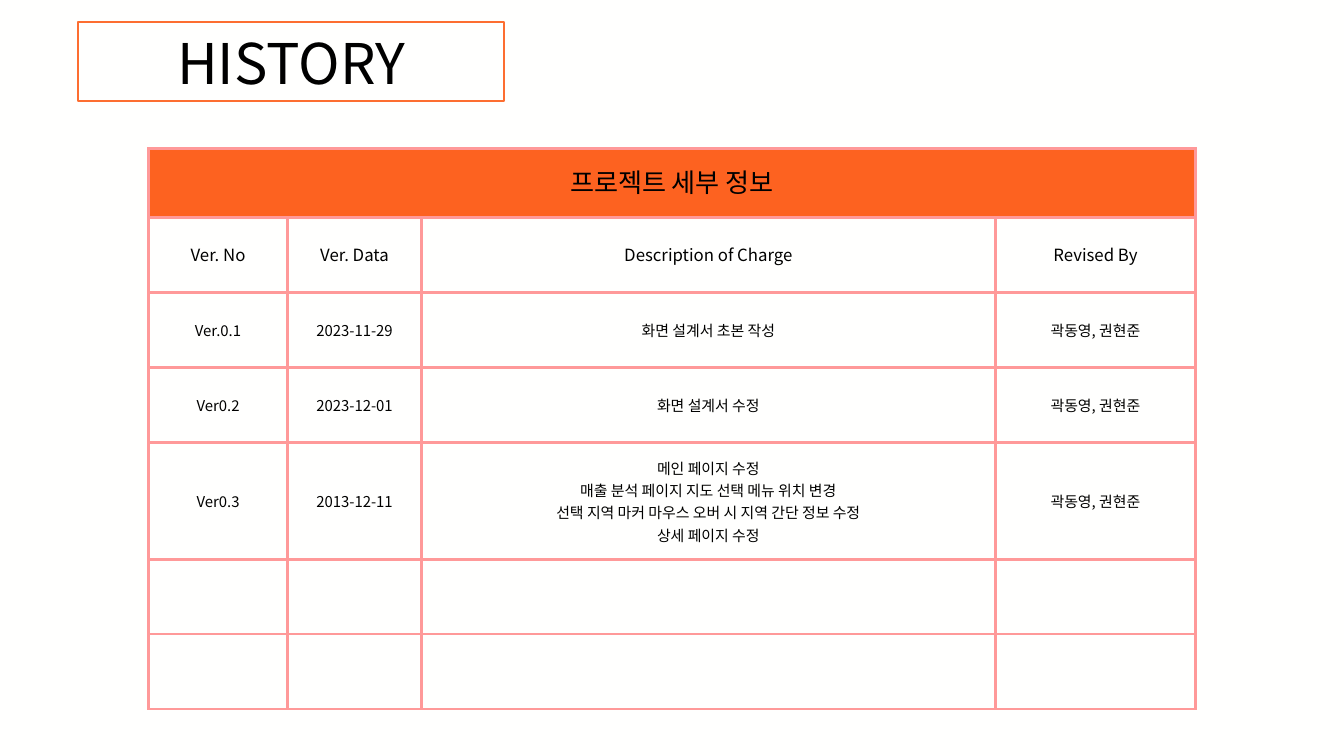
"""Build the HISTORY slide: a framed title and a table of document versions."""
from lxml import etree
from pptx import Presentation
from pptx import util as u
from pptx.dml.color import RGBColor
from pptx.enum import shapes, text
from pptx.oxml import ns

PX = 9525
FONT = "Noto Sans CJK KR"
AUTHORS = "곽동영, 권현준"
ROWS = [
    ["프로젝트 세부 정보", "", "", ""],
    ["Ver. No", "Ver. Data", "Description of Charge", "Revised By"],
    ["Ver.0.1", "2023-11-29", "화면 설계서 초본 작성", AUTHORS],
    ["Ver0.2", "2023-12-01", "화면 설계서 수정", AUTHORS],
    ["Ver0.3", "2013-12-11",
     "메인 페이지 수정\n매출 분석 페이지 지도 선택 메뉴 위치 변경\n"
     "선택 지역 마커 마우스 오버 시 지역 간단 정보 수정\n상세 페이지 수정", AUTHORS],
    [""] * 4,
    [""] * 4,
]
SIZES = [28, 18] + [16] * 5
COLS = [199, 191, 820, 286]
HEIGHTS = [99] + [107] * 6


def rgb(color):
    return RGBColor.from_string(color)


def write(tf, content, size, spacing=None):
    tf.text = content
    for p in tf.paragraphs:
        p.alignment = text.PP_ALIGN.CENTER
        p.line_spacing = spacing
        p.font.size = u.Pt(size)
        p.font.name = FONT
        p.font.color.rgb = rgb("000000")
        props = p._p.pPr.find(ns.qn("a:defRPr"))
        etree.SubElement(props, ns.qn("a:ea"), typeface=FONT)


prs = Presentation()
prs.slide_width, prs.slide_height = 1920 * PX, 1080 * PX
s = prs.slides.add_slide(prs.slide_layouts[6])
s.background.fill.solid()
s.background.fill.fore_color.rgb = rgb("FFFFFE")

frame = s.shapes.add_table(len(ROWS), len(COLS), 212 * PX, 212 * PX,
                           sum(COLS) * PX, sum(HEIGHTS) * PX)
table = frame.table
table.first_row = table.horz_banding = False
for column, width in zip(table.columns, COLS):
    column.width = width * PX
for row, height in zip(table.rows, HEIGHTS):
    row.height = height * PX
table.cell(0, 0).merge(table.cell(0, 3))

for i, (row, size) in enumerate(zip(ROWS, SIZES)):
    for j, content in enumerate(row):
        cell = table.cell(i, j)
        cell.vertical_anchor = text.MSO_ANCHOR.MIDDLE
        cell.margin_left = cell.margin_right = cell.margin_bottom = 20 * PX
        cell.margin_top = (20 if i else 37) * PX
        tcPr = cell._tc.get_or_add_tcPr()
        for side in ("lnL", "lnR", "lnT", "lnB"):
            ln = etree.SubElement(tcPr, ns.qn(f"a:{side}"), w=str(u.Pt(3)))
            fill = etree.SubElement(ln, ns.qn("a:solidFill"))
            etree.SubElement(fill, ns.qn("a:srgbClr"), val="FF9999")
        if i == 0:
            cell.fill.solid()
            cell.fill.fore_color.rgb = rgb("FD6220")
        else:
            cell.fill.background()
        if content:
            write(cell.text_frame, content, size, u.Pt(23.8))

sp = s.shapes.add_shape(shapes.MSO_SHAPE.RECTANGLE, 112 * PX, 32 * PX, 608 * PX, 112 * PX)
sp.shadow.inherit = False
sp.fill.background()
sp.line.color.rgb = rgb("FD6E31")
sp.line.width = u.Pt(2)
sp.text_frame.vertical_anchor = text.MSO_ANCHOR.MIDDLE
write(sp.text_frame, "HISTORY", 60)

prs.save("out.pptx")
